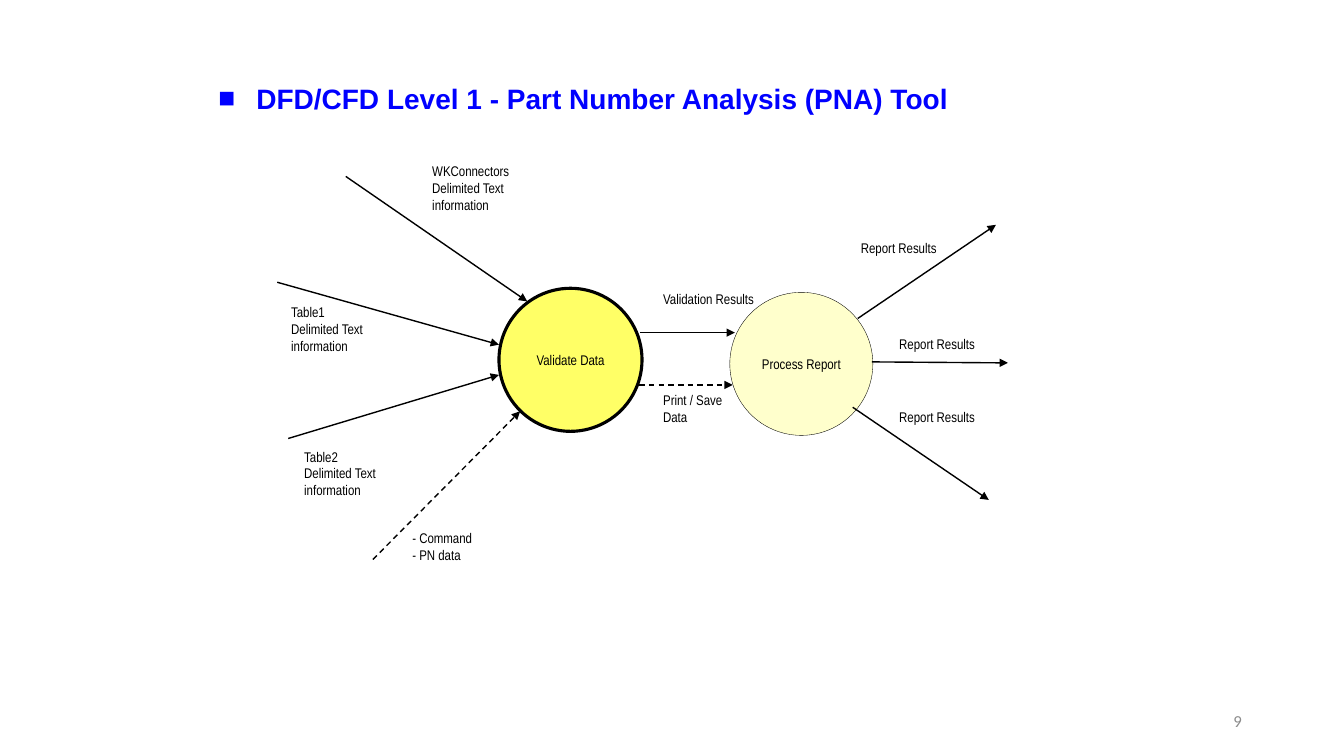
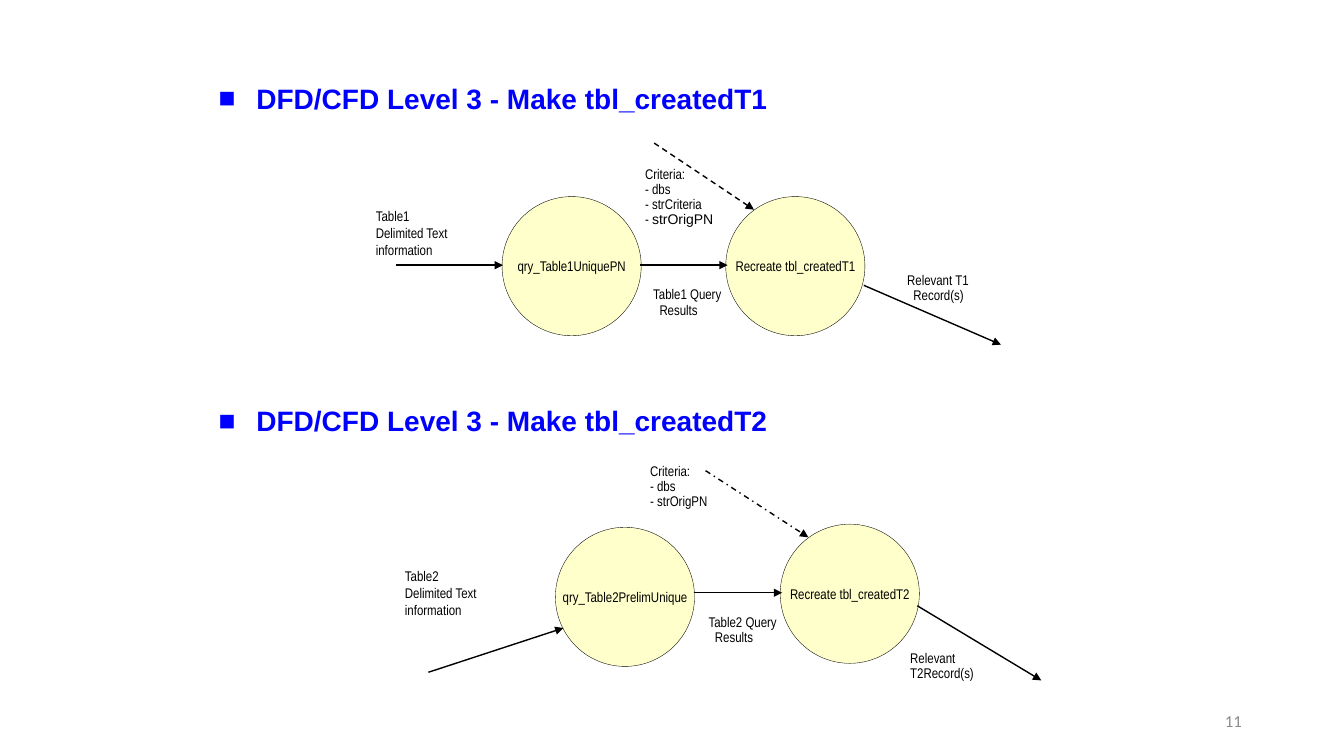
from dataclasses import dataclass
from typing import NamedTuple

from lxml import etree
from pptx import Presentation
from pptx.dml.color import RGBColor
from pptx.enum.dml import MSO_LINE
from pptx.enum.shapes import MSO_CONNECTOR, MSO_SHAPE
from pptx.enum.text import MSO_ANCHOR, MSO_AUTO_SIZE, PP_ALIGN
from pptx.oxml.ns import qn
from pptx.slide import Slide
from pptx.text.text import Font, TextFrame
from pptx.util import Pt

SOLID, DASH, DASH_DOT = MSO_LINE.SOLID, MSO_LINE.DASH, MSO_LINE.DASH_DOT
STRAIGHT = MSO_CONNECTOR.STRAIGHT
OVAL = MSO_SHAPE.OVAL
MIDDLE = MSO_ANCHOR.MIDDLE
CENTER, RIGHT = PP_ALIGN.CENTER, PP_ALIGN.RIGHT
GROW = MSO_AUTO_SIZE.SHAPE_TO_FIT_TEXT


@dataclass(frozen=True)
class Theme:
    ink: RGBColor = RGBColor(0x00, 0x00, 0x00)
    heading: RGBColor = RGBColor(0x00, 0x00, 0xFF)
    page_number: RGBColor = RGBColor(0x8C, 0x8C, 0x8C)
    main_process: RGBColor = RGBColor(0xFF, 0xFF, 0x66)
    process: RGBColor = RGBColor(0xFF, 0xFF, 0xCC)
    heading_font: str = "Arial"
    label_font: str = "Arial Narrow"
    page_font: str = "Calibri"
    heading_size: float = 20
    label_size: float = 10
    page_size: float = 12
    flow_width: float = 1
    outline: float = 0.25
    main_outline: float = 2.25


THEME = Theme()


class LabelStyle(NamedTuple):
    inset: float
    hanging: float = 0
    spacing: float = 1


PLAIN = LabelStyle(7.2)
SNUG = LabelStyle(2.2)
HANGING = LabelStyle(2.2, 4.5, 0.9)


@dataclass(frozen=True)
class Heading:
    text: str
    top: float
    width: float


@dataclass(frozen=True)
class Process:
    text: str
    left: float
    top: float
    diameter: float
    main: bool = False


@dataclass(frozen=True)
class Flow:
    x1: float
    y1: float
    x2: float
    y2: float
    dash: MSO_LINE = SOLID


@dataclass(frozen=True)
class Label:
    text: str
    left: float
    top: float
    width: float
    height: float
    style: LabelStyle = PLAIN
    wide_ending: str = ""


@dataclass(frozen=True)
class Diagram:
    number: int
    headings: list[Heading]
    processes: list[Process]
    flows: list[Flow]
    labels: list[Label]


def set_font(font: Font, name: str, size: float, color: RGBColor, bold: bool = False) -> None:
    font.name = name
    font.size = Pt(size)
    font.color.rgb = color
    font.bold = bold


def format_runs(frame: TextFrame, name: str, size: float, color: RGBColor, bold: bool = False) -> None:
    for paragraph in frame.paragraphs:
        for run in paragraph.runs:
            set_font(run.font, name, size, color, bold)


def add_frame(slide: Slide, text: str, left: float, top: float, width: float, height: float) -> TextFrame:
    frame = slide.shapes.add_textbox(Pt(left), Pt(top), Pt(width), Pt(height)).text_frame
    frame.word_wrap = True
    frame.text = text
    return frame


def hang(paragraph, indent: float):
    properties = paragraph._p.get_or_add_pPr()
    properties.set("marL", str(Pt(indent)))
    properties.set("indent", str(-Pt(indent)))
    return properties


def draw_heading(slide: Slide, heading: Heading) -> None:
    frame = add_frame(slide, heading.text, 149, heading.top, heading.width, 31)
    frame.word_wrap = False
    frame.auto_size = GROW
    format_runs(frame, THEME.heading_font, THEME.heading_size, THEME.heading, True)
    properties = hang(frame.paragraphs[0], 27)
    etree.SubElement(properties, qn("a:buFont"), typeface=THEME.heading_font)
    etree.SubElement(properties, qn("a:buChar"), char="■")


def draw_process(slide: Slide, process: Process) -> None:
    circle = slide.shapes.add_shape(
        OVAL, Pt(process.left), Pt(process.top), Pt(process.diameter), Pt(process.diameter)
    )
    circle.shadow.inherit = False
    circle.fill.solid()
    circle.fill.fore_color.rgb = THEME.main_process if process.main else THEME.process
    circle.line.color.rgb = THEME.ink
    circle.line.width = Pt(THEME.main_outline if process.main else THEME.outline)
    frame = circle.text_frame
    frame.word_wrap = False
    frame.vertical_anchor = MIDDLE
    frame.text = process.text
    frame.paragraphs[0].alignment = CENTER
    format_runs(frame, THEME.label_font, THEME.label_size, THEME.ink)


def draw_flow(slide: Slide, flow: Flow) -> None:
    arrow = slide.shapes.add_connector(STRAIGHT, Pt(flow.x1), Pt(flow.y1), Pt(flow.x2), Pt(flow.y2))
    arrow.line.color.rgb = THEME.ink
    arrow.line.width = Pt(THEME.flow_width)
    arrow.line.dash_style = flow.dash
    properties = arrow._element.spPr
    etree.SubElement(properties.find(qn("a:ln")), qn("a:tailEnd"), type="triangle")
    etree.SubElement(properties, qn("a:effectLst"))


def draw_label(slide: Slide, label: Label) -> None:
    frame = add_frame(slide, label.text, label.left, label.top, label.width, label.height)
    frame.vertical_anchor = MIDDLE
    frame.margin_left = frame.margin_right = Pt(label.style.inset)
    format_runs(frame, THEME.label_font, THEME.label_size, THEME.ink)
    if label.style.hanging:
        for paragraph in frame.paragraphs:
            hang(paragraph, label.style.hanging)
            paragraph.line_spacing = label.style.spacing
    if label.wide_ending:
        ending = frame.paragraphs[-1].add_run()
        ending.text = label.wide_ending
        set_font(ending.font, THEME.heading_font, THEME.label_size, THEME.ink)


def draw_page_number(slide: Slide, number: int) -> None:
    frame = add_frame(slide, str(number), 678.2, 500.4, 216, 28.8)
    frame.vertical_anchor = MIDDLE
    frame.paragraphs[0].alignment = RIGHT
    format_runs(frame, THEME.page_font, THEME.page_size, THEME.page_number)


def draw_diagram(slide: Slide, diagram: Diagram) -> None:
    draw_page_number(slide, diagram.number)
    for heading in diagram.headings:
        draw_heading(slide, heading)
    for process in diagram.processes:
        draw_process(slide, process)
    for flow in diagram.flows:
        draw_flow(slide, flow)
    for label in diagram.labels:
        draw_label(slide, label)


LEVEL_1 = Diagram(
    number=9,
    headings=[Heading("DFD/CFD Level 1 - Part Number Analysis (PNA) Tool", 54.7, 537)],
    processes=[
        Process("Validate Data", 356.4, 205.9, 102.2, main=True),
        Process("Process Report", 521.3, 208.8, 102.2),
    ],
    flows=[
        Flow(247, 126, 376.6, 215.3),
        Flow(198, 201.6, 356.4, 246.2),
        Flow(205.9, 313.2, 356.4, 267.8),
        Flow(266.4, 399.6, 371.5, 293.8, DASH),
        Flow(457.2, 237.6, 524.9, 237.6),
        Flow(456.5, 275, 523.4, 275, DASH),
        Flow(612.7, 227.5, 711.4, 160.6),
        Flow(622.8, 258.5, 720, 259.2),
        Flow(609.1, 290.9, 706.3, 357.1),
    ],
    labels=[
        Label("WKConnectors Delimited Text\ninformation", 301.7, 108, 82.1, 52.6),
        Label("Table1 Delimited Text\ninformation", 200.9, 213.1, 71.3, 43.9),
        Label("Table2 Delimited Text\ninformation", 210.2, 316.1, 71.3, 43.9),
        Label("- Command\n- PN data", 292.3, 373.7, 71.3, 33.1, SNUG),
        Label("Validation Results", 466.6, 187.2, 82.1, 52.6),
        Label("Print / Save\nData", 466.6, 265.7, 82.1, 52.6),
        Label("Report Results", 612.7, 160.6, 71.3, 33.1, SNUG),
        Label("Report Results", 640.1, 229, 71.3, 33.1, SNUG),
        Label("Report Results", 640.1, 281.5, 71.3, 33.1, SNUG),
    ],
)

LEVEL_3 = Diagram(
    number=11,
    headings=[
        Heading("DFD/CFD Level 3 - Make tbl_createdT1", 54.7, 411),
        Heading("DFD/CFD Level 3 - Make tbl_createdT2", 285, 411),
    ],
    processes=[
        Process("qry_Table1UniquePN", 358.6, 140.4, 99.4),
        Process("Recreate tbl_createdT1", 518.4, 140.4, 99.4),
        Process("qry_Table2PrelimUnique", 396.7, 376.6, 99.4),
        Process("Recreate tbl_createdT2", 557.3, 374.4, 99.4),
    ],
    flows=[
        Flow(283, 189.4, 359.3, 189.4),
        Flow(457.2, 189.4, 519.8, 189.4),
        Flow(467.3, 102.2, 538.6, 149.8, DASH),
        Flow(617, 203.8, 715, 246.2),
        Flow(306, 480.2, 402.5, 448.6),
        Flow(495.4, 423.4, 558.7, 423.4),
        Flow(504, 336.2, 577.4, 383.8, DASH_DOT),
        Flow(655.2, 432.7, 743.8, 486),
    ],
    labels=[
        Label("Table1 Delimited Text\ninformation", 261.4, 144.7, 69.1, 43.2),
        Label("Table1 Query Results", 464.4, 202.3, 53.3, 28.1, HANGING),
        Label("Criteria:\n- dbs\n- strCriteria\n- ", 458.6, 116.6, 64.1, 49, HANGING, "strOrigPN"),
        Label("Relevant T1 Record(s)", 645.8, 192.2, 69.8, 28.1, HANGING),
        Label("Table2 Delimited Text\ninformation", 282.2, 401.8, 69.1, 43.2),
        Label("Table2 Query Results", 504, 436.3, 53.3, 28.1, HANGING),
        Label("Criteria:\n- dbs\n- strOrigPN", 462.2, 318.2, 64.1, 59.8, HANGING),
        Label("Relevant\nT2Record(s)", 648, 462.2, 69.8, 28.1, HANGING),
    ],
)


def main() -> None:
    presentation = Presentation()
    presentation.slide_width = Pt(960)
    presentation.slide_height = Pt(540)
    blank = presentation.slide_layouts[6]
    for diagram in (LEVEL_1, LEVEL_3):
        draw_diagram(presentation.slides.add_slide(blank), diagram)
    presentation.save("out.pptx")


if __name__ == "__main__":
    main()
